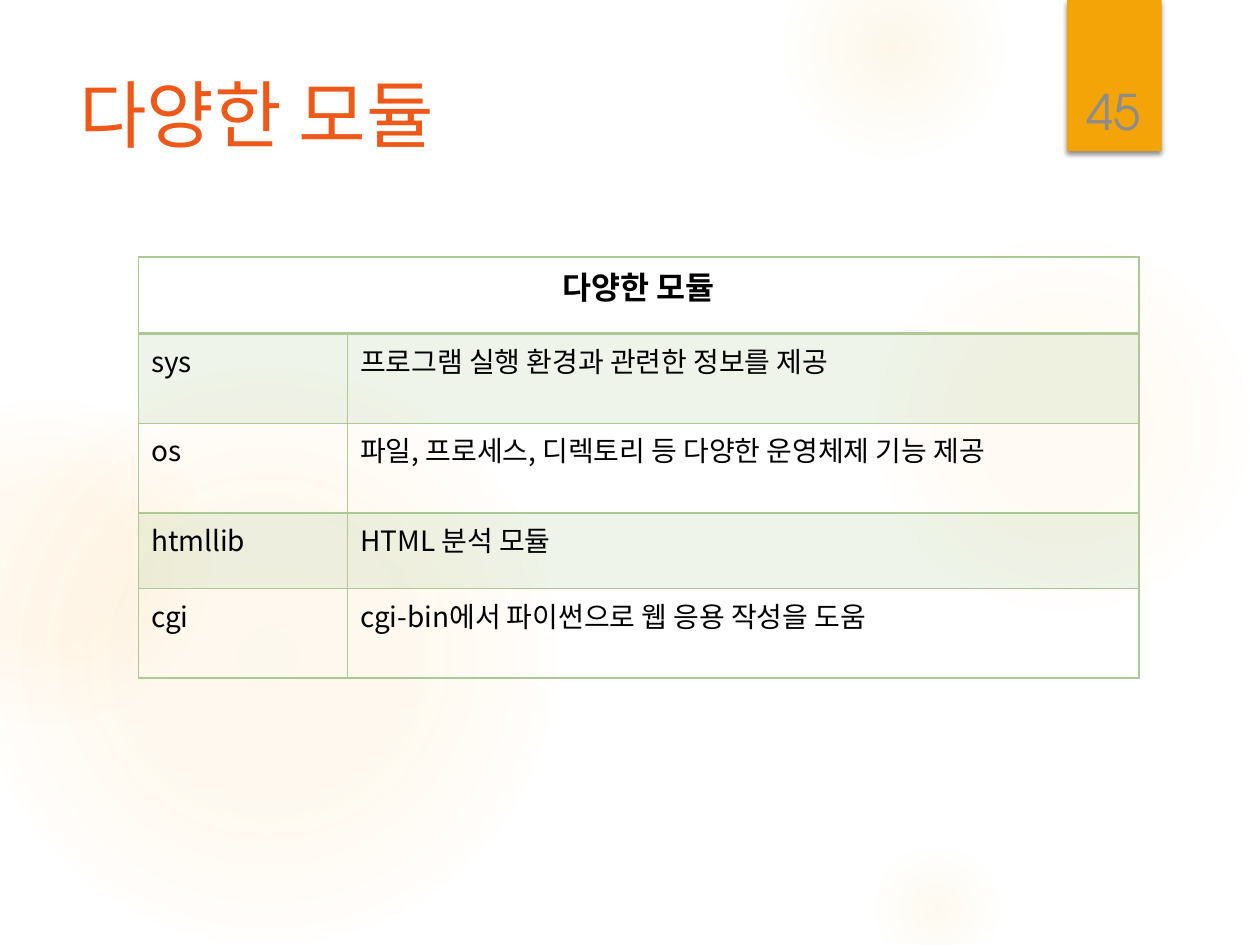
from lxml.etree import SubElement
from pptx import Presentation
from pptx.dml.color import RGBColor
from pptx.enum.shapes import MSO_SHAPE as Shape
from pptx.enum.text import MSO_ANCHOR as Anchor, PP_ALIGN as Align
from pptx.oxml import parse_xml
from pptx.oxml.ns import nsdecls, qn
from pptx.util import Inches, Pt

COLORS = {"glow": "FAC96A", "tab": "F5A408", "title": "EE5818", "number": "8C8C8C",
          "text": "000000", "green": "ACC995"}
KOREAN, LATIN = "Noto Sans CJK KR", "TeX Gyre Adventor"

# left, top, diameter, (position %, opacity %) of each gradient stop
GLOWS = [
    (6.89, 1.83, 3.08, [(0, 7), (36, 6), (69, 0)]),
    (6.22, -0.5, 1.75, [(0, 14), (36, 7), (73, 0)]),
    (6.89, 6.67, 1.08, [(0, 10), (31, 5), (66, 0)]),
    (-0.17, 2.92, 4.58, [(0, 11), (36, 10), (75, 0)]),
    (-0.92, 3.17, 2.58, [(0, 8), (36, 8), (72, 0)]),
]
TITLE = "다양한 모듈"
MODULES = [
    ("sys", "프로그램 실행 환경과 관련한 정보를 제공"),
    ("os", "파일, 프로세스, 디렉토리 등 다양한 운영체제 기능 제공"),
    ("htmllib", "HTML 분석 모듈"),
    ("cgi", "cgi-bin에서 파이썬으로 웹 응용 작성을 도움"),
]
COLUMN_WIDTHS = [1.66, 6.28]
ROW_HEIGHTS = [0.61, 0.71, 0.71, 0.6, 0.71]


class SlideBuilder:
    def __init__(self, slide):
        self.shapes = slide.shapes

    def set_text(self, frame, text, size, color, font=KOREAN, bold=False, align=Align.LEFT):
        paragraph = frame.paragraphs[0]
        paragraph.alignment = align
        run = paragraph.add_run()
        run.text = text
        style = run.font
        style.name, style.size, style.bold = font, Pt(size), bold
        style.color.rgb = RGBColor.from_string(COLORS[color])
        # Korean glyphs take their face from the East Asian font slot
        SubElement(run._r.get_or_add_rPr(), qn("a:ea"), typeface=font)

    def shape(self, kind, left, top, width, height):
        shape = self.shapes.add_shape(kind, *map(Inches, (left, top, width, height)))
        shape.shadow.inherit = False
        shape.line.fill.background()
        return shape

    def glow(self, left, top, diameter, stops):
        """Add a circle that fades out from its centre."""
        circle = self.shape(Shape.OVAL, left, top, diameter, diameter)
        circle.fill.background()
        stop_xml = "".join(
            f'<a:gs pos="{position * 1000}"><a:srgbClr val="{COLORS["glow"]}">'
            f'<a:alpha val="{opacity * 1000}"/></a:srgbClr></a:gs>'
            for position, opacity in stops)
        gradient = parse_xml(
            f'<a:gradFill {nsdecls("a")} rotWithShape="1"><a:gsLst>{stop_xml}</a:gsLst>'
            '<a:path path="circle"><a:fillToRect l="50000" t="50000" r="50000" b="50000"/>'
            '</a:path></a:gradFill>')
        properties = circle._element.spPr
        properties.replace(properties.find(qn("a:noFill")), gradient)

    def tab(self, left, top, width, height):
        """Add the coloured page tab with its soft shadow below."""
        tab = self.shape(Shape.RECTANGLE, left, top, width, height)
        tab.fill.solid()
        tab.fill.fore_color.rgb = RGBColor.from_string(COLORS["tab"])
        effects = tab._element.spPr.find(qn("a:effectLst"))
        shadow = SubElement(effects, qn("a:outerShdw"), blurRad=str(Pt(3)), dist=str(Pt(2)),
                            dir="5400000", algn="ctr", rotWithShape="0")
        shade = SubElement(shadow, qn("a:srgbClr"), val="000000")
        SubElement(shade, qn("a:alpha"), val="45000")

    def text(self, left, top, width, height, text, size, color, anchor=Anchor.TOP, **style):
        frame = self.shapes.add_textbox(*map(Inches, (left, top, width, height))).text_frame
        frame.word_wrap = True
        frame.vertical_anchor = anchor
        self.set_text(frame, text, size, color, **style)

    def style_cell(self, cell, tinted, top=1, bottom=1):
        """Fill and frame a cell; top and bottom are border widths in points."""
        if tinted:
            cell.fill.solid()
            cell.fill.fore_color.rgb = RGBColor.from_string(COLORS["green"])
            SubElement(cell._tc.tcPr.find(".//" + qn("a:srgbClr")), qn("a:alpha"), val="20000")
        else:
            cell.fill.background()
        borders = [("L", 1), ("R", 1), ("T", top), ("B", bottom)]
        for index, (side, width) in enumerate(borders):
            cell._tc.tcPr.insert(index, parse_xml(
                f'<a:ln{side} {nsdecls("a")} w="{Pt(width)}"><a:solidFill>'
                f'<a:srgbClr val="{COLORS["green"]}"/></a:solidFill></a:ln{side}>'))

    def table(self, left, top, heading, rows):
        table = self.shapes.add_table(
            len(ROW_HEIGHTS), len(COLUMN_WIDTHS), Inches(left), Inches(top),
            Inches(sum(COLUMN_WIDTHS)), Inches(sum(ROW_HEIGHTS))).table
        table.first_row = table.horz_banding = False
        for column, width in zip(table.columns, COLUMN_WIDTHS):
            column.width = Inches(width)
        for row, height in zip(table.rows, ROW_HEIGHTS):
            row.height = Inches(height)

        table.cell(0, 0).merge(table.cell(0, 1))
        self.set_text(table.cell(0, 0).text_frame, heading, 18, "text", bold=True,
                      align=Align.CENTER)
        for cell in table.rows[0].cells:
            self.style_cell(cell, tinted=False, bottom=2)
        for number, entries in enumerate(rows, start=1):
            for cell, entry in zip(table.rows[number].cells, entries):
                self.set_text(cell.text_frame, entry, 16, "text")
                self.style_cell(cell, tinted=number % 2 == 1, top=2 if number == 1 else 1)


def main():
    deck = Presentation()
    deck.slide_width, deck.slide_height = Inches(10), Inches(7.5)
    builder = SlideBuilder(deck.slides.add_slide(deck.slide_layouts[6]))
    for glow in GLOWS:
        builder.glow(*glow)
    builder.tab(8.47, 0, 0.75, 1.2)
    builder.text(0.53, 0.5, 7.72, 1.53, TITLE, 42, "title")
    builder.table(1.1, 2.04, TITLE, MODULES)
    builder.text(8.49, 0.32, 0.69, 0.84, "45", 28, "number", anchor=Anchor.BOTTOM,
                 font=LATIN, align=Align.CENTER)
    deck.save("out.pptx")


if __name__ == "__main__":
    main()
